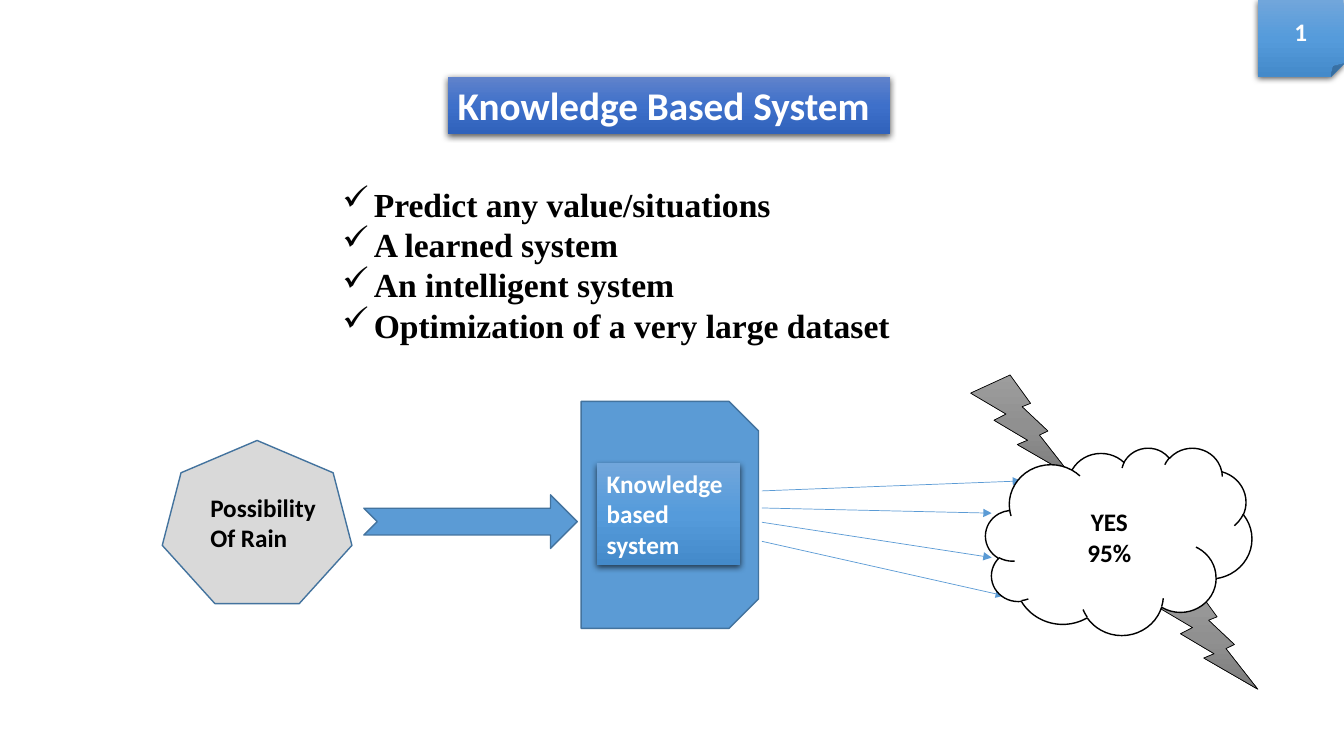
from copy import deepcopy
from dataclasses import dataclass

from lxml.etree import SubElement
from pptx import Presentation
from pptx.dml.color import RGBColor
from pptx.enum.shapes import MSO_CONNECTOR, MSO_SHAPE as Preset
from pptx.enum.text import MSO_ANCHOR as Anchor, MSO_AUTO_SIZE, PP_ALIGN as Align
from pptx.oxml.ns import qn
from pptx.shapes.autoshape import Shape
from pptx.slide import Slide
from pptx.util import Cm, Pt

BLUE, BLUE_EDGE = "5B9BD5", "43739E"
BLUE_GRADIENT = ("71A6DB", "559BDB", "448ACA")
TITLE_GRADIENT = ("6183CB", "3E70CA", "3062BB")
GREY_GRADIENT = ("9D9D9D", "909090", "7C7C7C")
BULLET_INDENT = Cm(0.79)
FEATURES = (
    "Predict any value/situations",
    "A learned system",
    "An intelligent system",
    "Optimization of a very large dataset",
)


@dataclass(frozen=True)
class Box:
    left: float
    top: float
    width: float
    height: float

    def lengths(self) -> tuple[Cm, Cm, Cm, Cm]:
        return Cm(self.left), Cm(self.top), Cm(self.width), Cm(self.height)


@dataclass(frozen=True)
class Text:
    lines: tuple[str, ...]
    size: int = 18
    color: str = "000000"
    font: str = "Calibri"
    align: Align = Align.LEFT
    anchor: Anchor = Anchor.TOP
    bullet: str = ""


@dataclass(frozen=True)
class Figure:
    preset: Preset
    box: Box
    fill: tuple[str, ...]
    edge: str = ""
    edge_width: float = 1
    rotation: int = 0
    raised: bool = False
    text: Text | None = None


@dataclass(frozen=True)
class Ray:
    start_y: float
    end_x: float
    end_y: float


RAY_START_X = 19.2
RAYS = (
    Ray(12.37, 25.73, 12.12),
    Ray(12.8, 24.99, 12.93),
    Ray(13.16, 24.99, 14.05),
    Ray(13.64, 25.3, 15.01),
)

# Figures behind and in front of the rays
BACK_FIGURES = (
    Figure(Preset.HEPTAGON, Box(4.09, 11.1, 4.78, 4.11), ("D9D9D9",), BLUE_EDGE),
    Figure(Preset.LIGHTNING_BOLT, Box(24.46, 9.45, 2.54, 2.54), GREY_GRADIENT, "000000", 0.5),
    Figure(Preset.LIGHTNING_BOLT, Box(29.16, 14.83, 2.54, 2.54), GREY_GRADIENT, "000000", 0.5),
    Figure(Preset.SNIP_2_SAME_RECTANGLE, Box(14.02, 10.74, 5.72, 4.47), (BLUE,), BLUE_EDGE,
           rotation=90),
    Figure(Preset.NOTCHED_RIGHT_ARROW, Box(9.17, 12.47, 5.38, 1.35), (BLUE,), BLUE_EDGE),
)
FRONT_FIGURES = (
    Figure(Preset.RECTANGLE, Box(15.04, 11.68, 3.61, 2.57), BLUE_GRADIENT, raised=True,
           text=Text(("Knowledge", "based", "system"), color="FFFFFF")),
    Figure(Preset.CLOUD, Box(24.84, 11.28, 6.71, 4.72), ("FFFFFF",), "000000",
           text=Text(("YES", "95%"), align=Align.CENTER, anchor=Anchor.MIDDLE)),
    Figure(Preset.FOLDED_CORNER, Box(31.7, 0, 2.16, 1.93), BLUE_GRADIENT, raised=True,
           text=Text(("1",), color="FFFFFF", align=Align.CENTER, anchor=Anchor.MIDDLE)),
)


def rgb(color: str) -> RGBColor:
    return RGBColor.from_string(color)


def paint(shape: Shape, colors: tuple[str, ...]) -> None:
    """One colour gives a solid fill, three a downward gradient."""
    if len(colors) == 1:
        shape.fill.solid()
        shape.fill.fore_color.rgb = rgb(colors[0])
        return
    shape.fill.gradient()
    shape.fill.gradient_angle = 270
    first_stop = shape._element.spPr.find(".//" + qn("a:gs"))
    first_stop.addnext(deepcopy(first_stop))
    for stop, color, position in zip(shape.fill.gradient_stops, colors, (0, 0.5, 1)):
        stop.color.rgb = rgb(color)
        stop.position = position


def add_shadow(shape: Shape) -> None:
    effects = shape._element.spPr.find(qn("a:effectLst"))
    shadow = SubElement(effects, qn("a:outerShdw"), blurRad=str(Pt(4.5)), dist=str(Pt(1.5)),
                        dir="5400000", algn="ctr", rotWithShape="0")
    color = SubElement(shadow, qn("a:srgbClr"), val="000000")
    SubElement(color, qn("a:alpha"), val="63000")


def write(shape: Shape, text: Text) -> None:
    frame = shape.text_frame
    frame.word_wrap = True
    frame.auto_size = MSO_AUTO_SIZE.NONE
    frame.vertical_anchor = text.anchor
    for index, line in enumerate(text.lines):
        paragraph = frame.add_paragraph() if index else frame.paragraphs[0]
        paragraph.text = line
        paragraph.alignment = text.align
        paragraph.line_spacing = 1.0
        if text.bullet:
            properties = paragraph._p.get_or_add_pPr()
            properties.set("marL", str(BULLET_INDENT))
            properties.set("indent", str(-BULLET_INDENT))
            SubElement(properties, qn("a:buChar"), char=text.bullet)
        paragraph.font.name = text.font
        paragraph.font.size = Pt(text.size)
        paragraph.font.bold = True
        paragraph.font.color.rgb = rgb(text.color)


def add_figure(slide: Slide, figure: Figure) -> None:
    shape = slide.shapes.add_shape(figure.preset, *figure.box.lengths())
    shape.rotation = figure.rotation
    paint(shape, figure.fill)
    if figure.edge:
        shape.line.color.rgb = rgb(figure.edge)
        shape.line.width = Pt(figure.edge_width)
    else:
        shape.line.fill.background()
    shape.shadow.inherit = False
    if figure.raised:
        add_shadow(shape)
    if figure.text:
        write(shape, figure.text)


def add_text(slide: Slide, box: Box, text: Text) -> None:
    write(slide.shapes.add_textbox(*box.lengths()), text)


def add_ray(slide: Slide, ray: Ray) -> None:
    connector = slide.shapes.add_connector(
        MSO_CONNECTOR.STRAIGHT, Cm(RAY_START_X), Cm(ray.start_y), Cm(ray.end_x), Cm(ray.end_y))
    connector.line.color.rgb = rgb(BLUE)
    connector.line.width = Pt(0.5)
    SubElement(connector.line._get_or_add_ln(), qn("a:tailEnd"), type="triangle")
    SubElement(connector._element.spPr, qn("a:effectLst"))


def format_title(slide: Slide) -> None:
    title = slide.shapes.title
    title.left, title.top, title.width, title.height = Box(11.28, 1.93, 11.15, 1.45).lengths()
    paint(title, TITLE_GRADIENT)
    title.shadow.inherit = False
    add_shadow(title)
    write(title, Text(("Knowledge Based System",), size=28, color="FFFFFF"))


def main() -> None:
    presentation = Presentation()
    presentation.slide_width, presentation.slide_height = Cm(33.87), Cm(19.05)
    slide = presentation.slides.add_slide(presentation.slide_layouts[5])

    # Title and feature list
    format_title(slide)
    add_text(slide, Box(8.38, 4.5, 14.43, 4.37),
             Text(FEATURES, size=24, font="Times New Roman", bullet="✓"))

    # Diagram
    for figure in BACK_FIGURES:
        add_figure(slide, figure)
    for ray in RAYS:
        add_ray(slide, ray)
    add_text(slide, Box(5.05, 12.27, 3.33, 1.8), Text(("Possibility", "Of Rain")))
    for figure in FRONT_FIGURES:
        add_figure(slide, figure)

    presentation.save("out.pptx")


if __name__ == "__main__":
    main()
